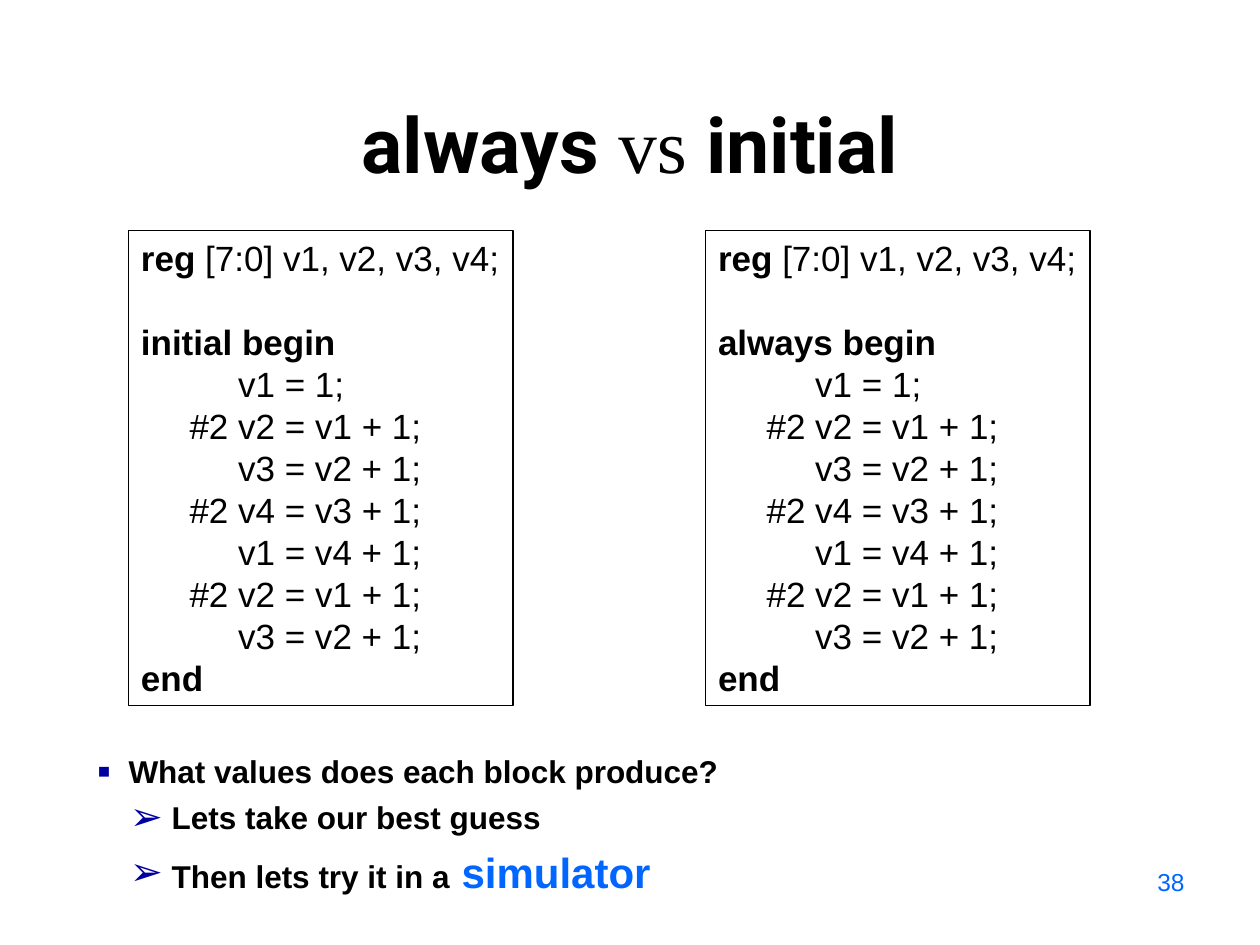
from typing import NamedTuple

from lxml import etree
from pptx import Presentation
from pptx import util as u
from pptx.dml import color
from pptx.enum import shapes, text
from pptx.oxml import ns

BLACK, BLUE, NAVY = "000000", "0066FF", "0000A0"


class CodeBlock(NamedTuple):
    left: float
    keyword: str


class Bullet(NamedTuple):
    symbol: str
    level: int
    margin: float
    indent: float
    space_before: float
    runs: list


def rgb(value: str) -> color.RGBColor:
    return color.RGBColor.from_string(value)


def add_text(paragraph, content: str, *, size=18, font="Arial", fill=BLACK, bold=False):
    run = paragraph.add_run()
    run.text = content
    run.font.size = u.Pt(size)
    run.font.name = font
    run.font.bold = bold
    run.font.color.rgb = rgb(fill)
    run._r.get_or_add_rPr().set("kern", "0")


def place(shape, left: float, top: float, width: float, height: float):
    shape.left, shape.top = u.Inches(left), u.Inches(top)
    shape.width, shape.height = u.Inches(width), u.Inches(height)


def set_bullet(paragraph, bullet: Bullet):
    properties = paragraph._p.get_or_add_pPr()
    properties.set("marL", str(u.Inches(bullet.margin)))
    properties.set("indent", str(u.Inches(bullet.indent)))
    bullet_color = etree.SubElement(properties, ns.qn("a:buClr"))
    etree.SubElement(bullet_color, ns.qn("a:srgbClr"), val=NAVY)
    etree.SubElement(properties, ns.qn("a:buSzPct"), val="125000")
    etree.SubElement(properties, ns.qn("a:buFont"), typeface="Arial")
    etree.SubElement(properties, ns.qn("a:buChar"), char=bullet.symbol)


def add_code_block(slide, block: CodeBlock):
    shape = slide.shapes.add_shape(
        shapes.MSO_SHAPE.RECTANGLE,
        u.Inches(block.left), u.Inches(1.83), u.Inches(3.05), u.Inches(3.77))
    shape.shadow.inherit = False
    shape.fill.background()
    shape.line.color.rgb = rgb(BLACK)
    shape.line.width = u.Pt(1)
    frame = shape.text_frame
    frame.word_wrap = False
    frame.margin_right = u.Inches(0.05)
    frame.auto_size = text.MSO_AUTO_SIZE.SHAPE_TO_FIT_TEXT
    frame.vertical_anchor = text.MSO_ANCHOR.TOP

    # Each line is a bold keyword part and a plain part
    lines = [("reg", " [7:0] v1, v2, v3, v4;"), ("", ""), (f"{block.keyword} begin", "")]
    lines += [("", statement) for statement in STATEMENTS]
    lines.append(("end", ""))
    for index, (keyword, plain) in enumerate(lines):
        paragraph = frame.add_paragraph() if index else frame.paragraphs[0]
        paragraph.alignment = text.PP_ALIGN.LEFT
        paragraph.font.size = u.Pt(20)
        if keyword:
            add_text(paragraph, keyword, size=20, bold=True)
        if plain:
            add_text(paragraph, plain, size=20)
        if not keyword and not plain:
            paragraph._p.get_or_add_endParaRPr().set("sz", "2000")


STATEMENTS = [
    "          v1 = 1;",
    "     #2 v2 = v1 + 1;",
    "          v3 = v2 + 1;",
    "     #2 v4 = v3 + 1;",
    "          v1 = v4 + 1;",
    "     #2 v2 = v1 + 1;",
    "          v3 = v2 + 1;",
]
CODE_BLOCKS = [CodeBlock(1.02, "initial"), CodeBlock(5.6, "always")]
BULLETS = [
    Bullet("▪", 0, 0.25, -0.25, 0,
           [("What values does each block produce?", {})]),
    Bullet("➢", 1, 0.5, -0.24, 4.5, [(" Lets take our best guess", {})]),
    Bullet("➢", 1, 0.5, -0.24, 6,
           [(" Then lets try it in a", {}), (" simulator", {"size": 24, "fill": BLUE})]),
]


def main():
    presentation = Presentation()
    presentation.slide_width, presentation.slide_height = u.Inches(10), u.Inches(7.5)
    slide = presentation.slides.add_slide(presentation.slide_layouts[1])

    # Title
    title = slide.shapes.title
    place(title, 0.5, 0.3, 9, 1.25)
    title.text_frame.vertical_anchor = text.MSO_ANCHOR.BOTTOM
    title.text_frame.auto_size = text.MSO_AUTO_SIZE.NONE
    heading = title.text_frame.paragraphs[0]
    heading.alignment = text.PP_ALIGN.CENTER
    add_text(heading, "always ", size=44, font="Roboto", bold=True)
    add_text(heading, "vs ", size=44, font="Times New Roman")
    add_text(heading, "initial", size=44, font="Roboto", bold=True)

    # Code to compare
    for block in CODE_BLOCKS:
        add_code_block(slide, block)

    # Questions
    body = slide.placeholders[1]
    place(body, 0.67, 5.92, 7.92, 1.25)
    frame = body.text_frame
    frame.auto_size = text.MSO_AUTO_SIZE.SHAPE_TO_FIT_TEXT
    for index, bullet in enumerate(BULLETS):
        paragraph = frame.add_paragraph() if index else frame.paragraphs[0]
        paragraph.level = bullet.level
        set_bullet(paragraph, bullet)
        paragraph.space_before = u.Pt(bullet.space_before)
        for content, style in bullet.runs:
            add_text(paragraph, content, bold=True, **style)

    # Page number
    number = slide.shapes.add_textbox(
        u.Inches(7.17), u.Inches(6.83), u.Inches(2.33), u.Inches(0.52))
    number.text_frame.word_wrap = True
    paragraph = number.text_frame.paragraphs[0]
    paragraph.alignment = text.PP_ALIGN.RIGHT
    add_text(paragraph, "38", size=14, fill=BLUE)

    presentation.save("out.pptx")


if __name__ == "__main__":
    main()
